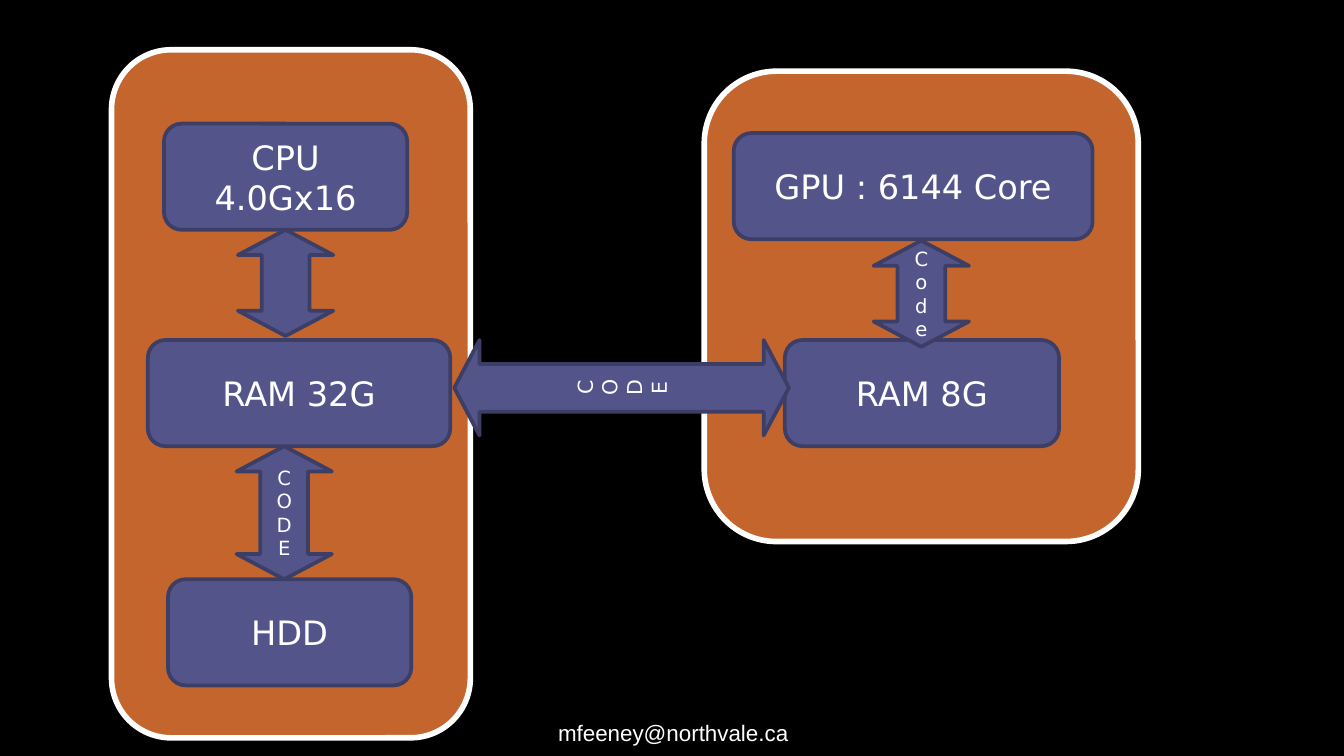
"""Build a slide showing how code moves between CPU, GPU, memory and disk."""
from lxml import etree
from pptx import Presentation
from pptx.dml.color import RGBColor
from pptx.enum import shapes, text
from pptx.oxml import ns
from pptx.util import Inches, Pt

COLORS = {"background": "000000", "panel": "C4652D", "part": "53548A",
          "edge": "3D3E66", "white": "FFFFFF"}
KINDS = shapes.MSO_SHAPE


def write(frame, words, size, font):
    frame.word_wrap = True
    frame.vertical_anchor = text.MSO_ANCHOR.MIDDLE
    line = frame.paragraphs[0]
    line.text = words
    line.alignment = text.PP_ALIGN.CENTER
    line.font.size = Pt(size)
    line.font.name = font
    line.font.color.rgb = RGBColor.from_string(COLORS["white"])


def add_block(kind, place, fill, edge, weight):
    block = slide.shapes.add_shape(kind, *map(Inches, place))
    block.shadow.inherit = False
    block.fill.solid()
    block.fill.fore_color.rgb = RGBColor.from_string(COLORS[fill])
    block.line.color.rgb = RGBColor.from_string(COLORS[edge])
    block.line.width = Pt(weight)
    return block


deck = Presentation()
deck.slide_width = Inches(10)
deck.slide_height = Inches(10) * 9 // 16
slide = deck.slides.add_slide(deck.slide_layouts[6])
slide.background.fill.solid()
slide.background.fill.fore_color.rgb = RGBColor.from_string(COLORS["background"])

contact = slide.shapes.add_textbox(Inches(3.2), Inches(5.3), Inches(3.62), Inches(0.3))
write(contact.text_frame, "mfeeney@northvale.ca", 12, "Arial")

graphics_card = (5.24, 0.53, 3.23, 3.5)
computer = (0.83, 0.37, 2.67, 5.12)
for panel in (graphics_card, computer):
    add_block(KINDS.ROUNDED_RECTANGLE, panel, "panel", "white", 3)

parts = [
    ("RAM 8G", 5.84, 2.53, 2.04),
    ("CPU 4.0Gx16", 1.22, 0.92, 1.81),
    ("RAM 32G", 1.1, 2.53, 2.25),
    ("HDD", 1.25, 4.31, 1.81),
    ("GPU : 6144 Core", 5.46, 0.99, 2.67),
]
for label, left, top, width in parts:
    part = add_block(KINDS.ROUNDED_RECTANGLE, (left, top, width, 0.79), "part", "edge", 2)
    write(part.text_frame, label, 18, "DejaVu Sans")

transfers = [
    ("", 1.77, 1.71, 0.79, 0, 10.5),
    ("CODE", 1.76, 3.32, 0.99, 0, 10.5),
    ("Code", 6.5, 1.79, 0.79, 0, 10.5),
    ("CODE", 4.27, 1.64, 2.49, 270, 11),
]
for label, left, top, height, turn, size in transfers:
    transfer = add_block(KINDS.UP_DOWN_ARROW, (left, top, 0.71, height), "part", "edge", 2)
    transfer.rotation = turn
    guides = transfer.element.find(".//" + ns.qn("a:avLst"))
    guides.clear()
    for guide, value in (("adj1", 50000), ("adj2", 26500)):
        etree.SubElement(guides, ns.qn("a:gd"), name=guide, fmla=f"val {value}")
    if label:
        write(transfer.text_frame, label, size, "DejaVu Sans")

deck.save("out.pptx")
